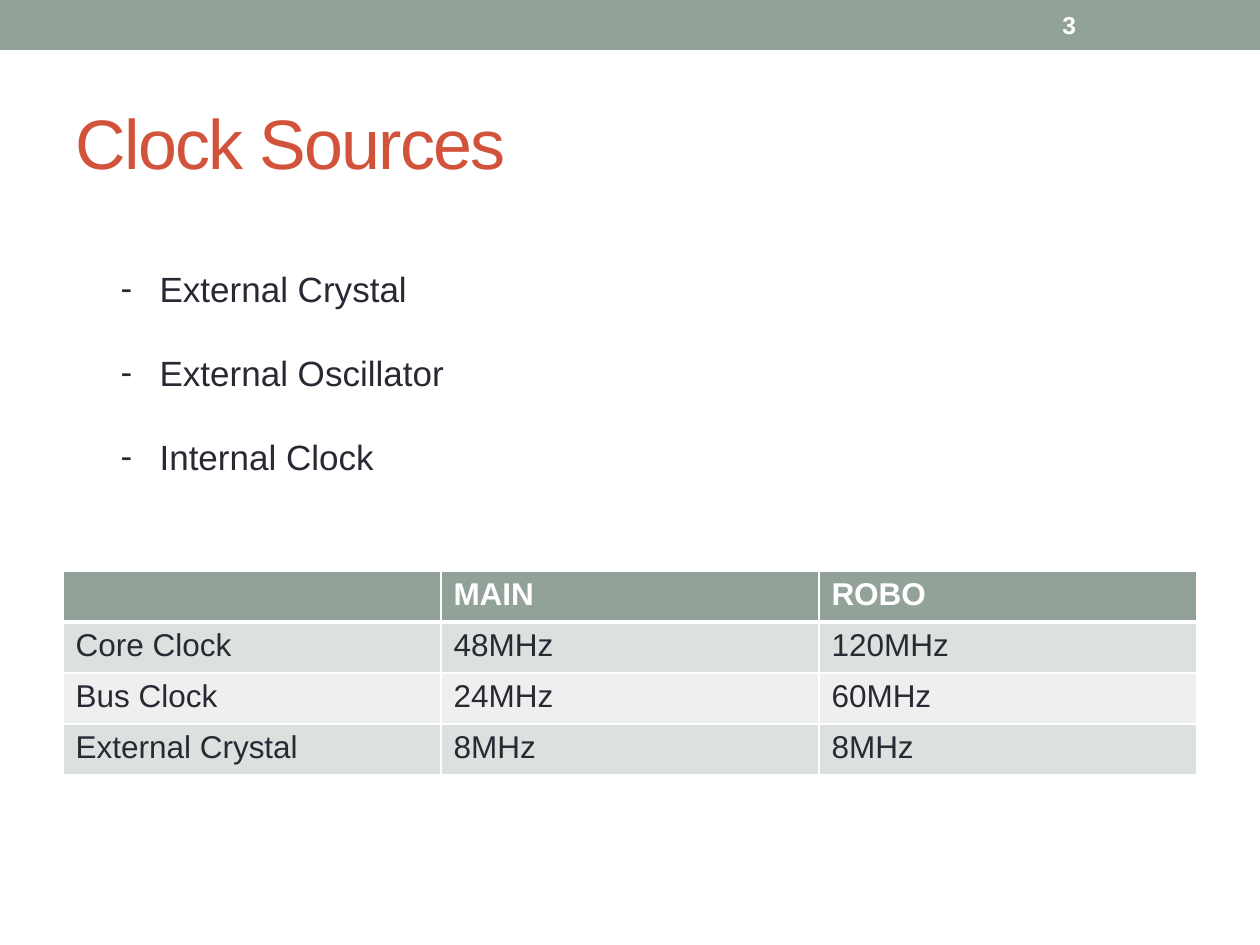
from dataclasses import dataclass

from lxml.etree import SubElement
from pptx import Presentation
from pptx.dml.color import RGBColor
from pptx.enum.shapes import MSO_SHAPE
from pptx.enum.text import MSO_ANCHOR, MSO_AUTO_SIZE, PP_ALIGN
from pptx.oxml.ns import qn
from pptx.util import Pt

PX = 7257  # EMU in one px, 126 px to the inch


@dataclass(frozen=True)
class Theme:
    font: str = "Arial"
    sage: str = "93A299"
    rust: str = "D2533C"
    ink: str = "292934"
    white: str = "FFFFFF"
    bands: tuple = ("DCE0DE", "EEF0EF")
    title_size: int = 40
    list_size: int = 20
    table_size: int = 18
    number_size: int = 14


THEME = Theme()

SOURCES = ["External Crystal", "External Oscillator", "Internal Clock"]
CLOCKS = [
    ["", "MAIN", "ROBO"],
    ["Core Clock", "48MHz", "120MHz"],
    ["Bus Clock", "24MHz", "60MHz"],
    ["External Crystal", "8MHz", "8MHz"],
]


def emu(box):
    return [round(length * PX) for length in box]


def color(value):
    return RGBColor.from_string(value)


def style(paragraph, size, ink, bold=False):
    paragraph.alignment = PP_ALIGN.LEFT
    font = paragraph.font
    font.name, font.size, font.bold = THEME.font, Pt(size), bold
    font.color.rgb = color(ink)


def place(shape, box):
    shape.left, shape.top, shape.width, shape.height = emu(box)


def add_header(slide, box, number):
    left, top, width, height = box
    bar = slide.shapes.add_shape(MSO_SHAPE.RECTANGLE, *emu(box))
    bar.shadow.inherit = False
    bar.fill.solid()
    bar.fill.fore_color.rgb = color(THEME.sage)
    bar.line.fill.background()

    number_box = (left + width - 210, top + 2, 147, height - 4)
    page = slide.shapes.add_textbox(*emu(number_box)).text_frame
    page.word_wrap = True
    page.vertical_anchor = MSO_ANCHOR.MIDDLE
    page.text = number
    style(page.paragraphs[0], THEME.number_size, THEME.white, bold=True)


def fill_title(title, box, text):
    place(title, box)
    frame = title.text_frame
    frame.auto_size = MSO_AUTO_SIZE.NONE
    frame.vertical_anchor = MSO_ANCHOR.MIDDLE
    frame.text = text
    heading = frame.paragraphs[0]
    style(heading, THEME.title_size, THEME.rust)
    heading.runs[0].font._element.set("spc", "-100")


def fill_list(body, box, items):
    place(body, box)
    frame = body.text_frame
    frame.auto_size = MSO_AUTO_SIZE.NONE
    frame.text = "\n".join(items)
    for item in frame.paragraphs:
        style(item, THEME.list_size, THEME.ink)
        item.space_before, item.space_after = Pt(0), Pt(24)
        properties = item._p.get_or_add_pPr()
        properties.set("marL", str(39 * PX))
        properties.set("indent", str(-39 * PX))
        bullet_font = SubElement(properties, qn("a:buFont"))
        bullet_font.set("typeface", THEME.font)
        SubElement(properties, qn("a:buChar")).set("char", "-")
        # The schema wants default run properties after the bullet.
        properties.append(properties.find(qn("a:defRPr")))


def add_borders(cell, top, bottom):
    """Draw white cell borders; top and bottom are widths in points."""
    properties = cell._tc.get_or_add_tcPr()
    for side, width in (("L", 1), ("R", 1), ("T", top), ("B", bottom)):
        line = SubElement(properties, qn(f"a:ln{side}"), w=str(Pt(width)))
        fill = SubElement(line, qn("a:solidFill"))
        SubElement(fill, qn("a:srgbClr"), val=THEME.white)


def add_clock_table(slide, box, rows):
    table = slide.shapes.add_table(len(rows), len(rows[0]), *emu(box)).table
    for r, values in enumerate(rows):
        header = r == 0
        fill = THEME.sage if header else THEME.bands[(r - 1) % 2]
        for c, value in enumerate(values):
            cell = table.cell(r, c)
            add_borders(cell, top=3 if r == 1 else 1, bottom=3 if header else 1)
            cell.fill.solid()
            cell.fill.fore_color.rgb = color(fill)
            cell.text = value
            style(cell.text_frame.paragraphs[0], THEME.table_size,
                  THEME.white if header else THEME.ink, bold=header)


def main():
    deck = Presentation()
    deck.slide_width, deck.slide_height = emu((1260, 945))
    slide = deck.slides.add_slide(deck.slide_layouts[1])
    add_header(slide, (0, 0, 1260, 50), "3")
    fill_title(slide.shapes.title, (63, 73, 1134, 136), "Clock Sources")
    fill_list(slide.placeholders[1], (108, 261, 512, 224), SOURCES)
    add_clock_table(slide, (63, 571, 1134, 204), CLOCKS)
    deck.save("out.pptx")


if __name__ == "__main__":
    main()
